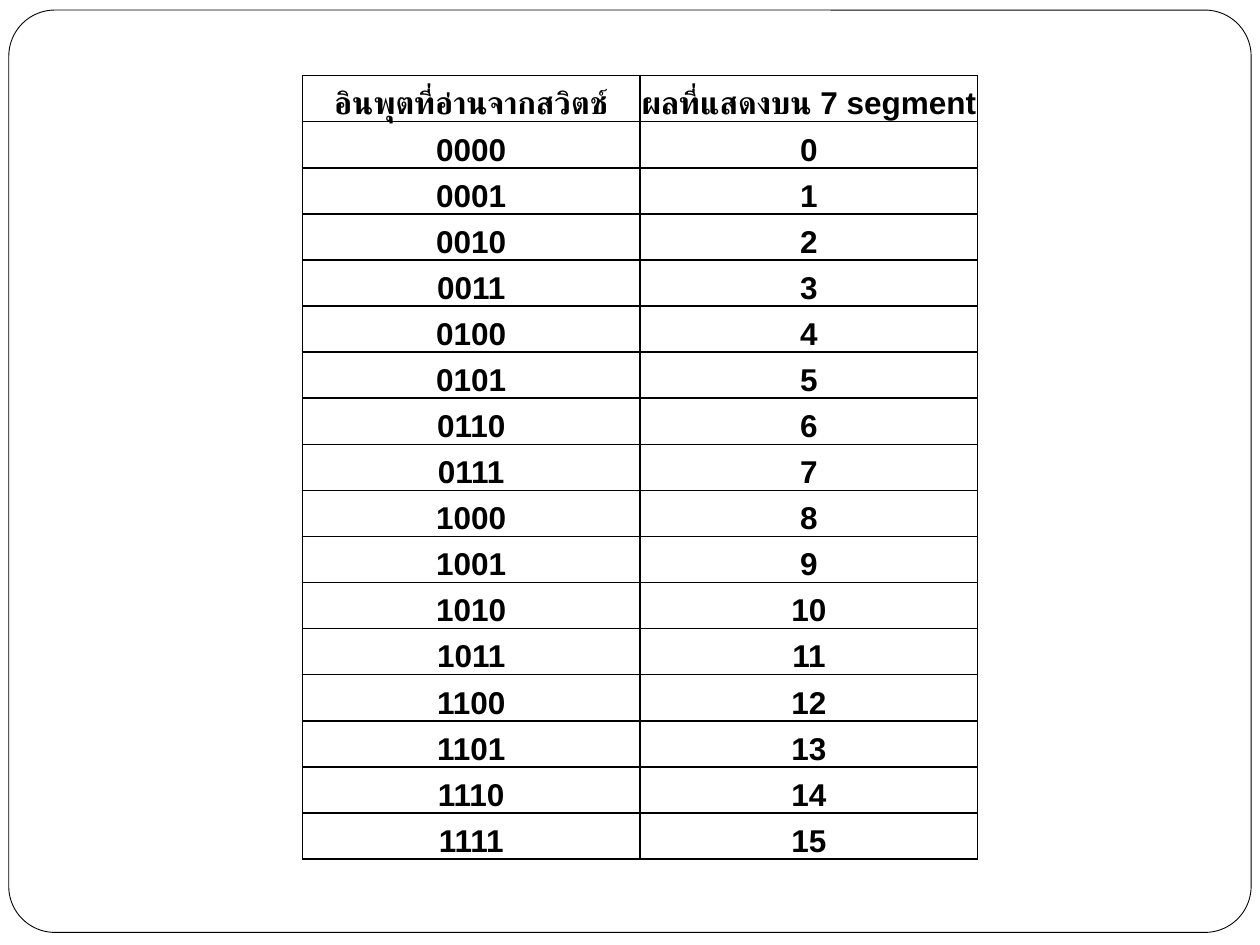
from lxml.etree import SubElement
from pptx import Presentation
from pptx.dml.color import RGBColor
from pptx.enum.shapes import MSO_SHAPE
from pptx.enum.text import MSO_ANCHOR, PP_ALIGN
from pptx.oxml.ns import qn
from pptx.util import Inches, Pt


def rgb(color):
    return RGBColor.from_string(color)


def add_border(cell, color, width):
    tc_pr = cell._tc.get_or_add_tcPr()
    for side in ("lnL", "lnR", "lnT", "lnB"):
        ln = SubElement(tc_pr, qn(f"a:{side}"), w=str(Pt(width)))
        fill = SubElement(ln, qn("a:solidFill"))
        SubElement(fill, qn("a:srgbClr"), val=color)


prs = Presentation()
prs.slide_width = Inches(10)
prs.slide_height = Inches(7.5)
s = prs.slides.add_slide(prs.slide_layouts[6])

frame = s.shapes.add_shape(
    MSO_SHAPE.ROUNDED_RECTANGLE, Inches(0.07), Inches(0.08), Inches(9.86), Inches(7.32)
)
frame.adjustments[0] = 0.05
frame.shadow.inherit = False
frame.fill.solid()
frame.fill.fore_color.rgb = rgb("FFFFFF")
frame.line.color.rgb = rgb("000000")
frame.line.width = Pt(0.5)

rows = [("อินพุตที่อ่านจากสวิตช์", "ผลที่แสดงบน 7 segment")]
rows += [(f"{n:04b}", str(n)) for n in range(16)]

table = s.shapes.add_table(
    len(rows), 2, Inches(2.4), Inches(0.6), Inches(5.36), Inches(6.22)
).table
table.first_row = False
table.horz_banding = False

for i, row in enumerate(rows):
    for j, text in enumerate(row):
        cell = table.cell(i, j)
        add_border(cell, "000000", 1)
        cell.fill.background()
        cell.vertical_anchor = MSO_ANCHOR.BOTTOM
        cell.margin_left = cell.margin_right = cell.margin_bottom = 0
        cell.margin_top = Inches(0.01)
        cell.text_frame.text = text
        p = cell.text_frame.paragraphs[0]
        p.alignment = PP_ALIGN.CENTER
        r = p.runs[0]
        r.font.size = Pt(18)
        r.font.bold = True
        r.font.color.rgb = rgb("000000")
        r.font.name = "Arial"
        SubElement(r._r.get_or_add_rPr(), qn("a:cs"), typeface="Arial")

prs.save("out.pptx")
